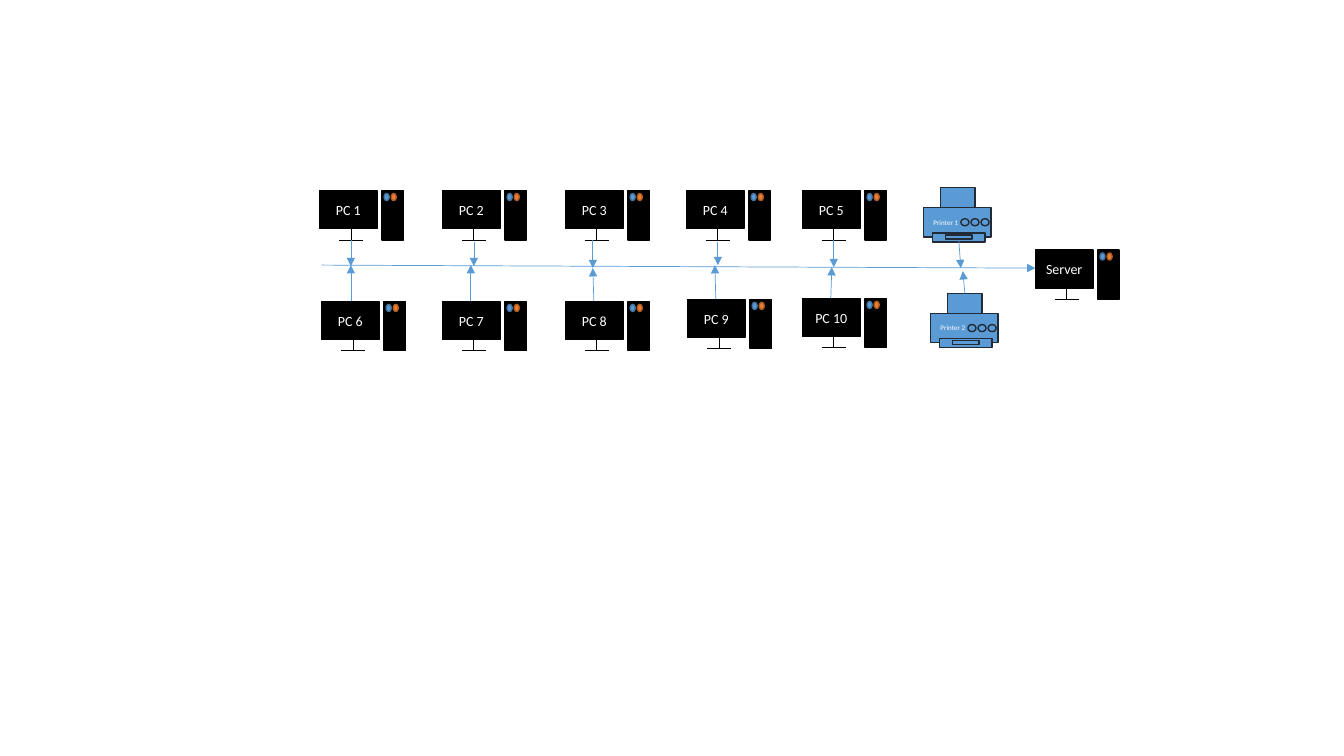
"""Bus network slide: ten PCs and two printers feeding one server."""
from pptx import Presentation
from pptx.dml.color import RGBColor
from pptx.enum.shapes import MSO_CONNECTOR, MSO_SHAPE
from pptx.enum.text import MSO_ANCHOR, PP_ALIGN
from pptx.oxml.ns import qn
from pptx.util import Inches, Pt
from lxml import etree

RECT = MSO_SHAPE.RECTANGLE
PROC = MSO_SHAPE.FLOWCHART_PROCESS
DOT = MSO_SHAPE.FLOWCHART_CONNECTOR
LINE = MSO_CONNECTOR.STRAIGHT
MID = MSO_ANCHOR.MIDDLE
LEFT, CENTER = PP_ALIGN.LEFT, PP_ALIGN.CENTER
HUES = {"black": "000000", "white": "FFFFFF", "blue": "5B9BD5", "navy": "43739E",
        "orange": "ED7D31", "rust": "AF5C24", "slate": "222A35"}

deck = Presentation()
deck.slide_width, deck.slide_height = Inches(13.33), Inches(7.5)
slide = deck.slides.add_slide(deck.slide_layouts[6])


def box(group, kind, area, fill, edge, text="", size=10, align=CENTER, pad=0):
    shape = group.shapes.add_shape(kind, *map(Inches, area))
    shape.shadow.inherit = False
    shape.fill.solid()
    shape.fill.fore_color.rgb = RGBColor.from_string(HUES[fill])
    shape.line.color.rgb = RGBColor.from_string(HUES[edge])
    shape.line.width = Pt(1)
    if text:
        frame = shape.text_frame
        frame.word_wrap = True
        frame.vertical_anchor = MID
        frame.margin_left = frame.margin_right = Inches(pad)
        para = frame.paragraphs[0]
        para.text, para.alignment = text, align
        para.font.size, para.font.name = Pt(size), "Calibri"
        para.font.color.rgb = RGBColor.from_string(HUES["white"])


def link(group, ends, hue, arrow=False):
    wire = group.shapes.add_connector(LINE, *map(Inches, ends))
    wire.line.color.rgb = RGBColor.from_string(HUES[hue])
    wire.line.width = Pt(0.5)
    props = wire.line._get_or_add_ln()
    if arrow:
        etree.SubElement(props, qn("a:tailEnd"), type="triangle")
    etree.SubElement(props.getparent(), qn("a:effectLst"))


units = [
    ("Server", 10.27, 2.48),
    ("PC 1", 3.17, 1.89), ("PC 2", 4.39, 1.89), ("PC 3", 5.61, 1.89),
    ("PC 4", 6.81, 1.89), ("PC 5", 7.96, 1.89),
    ("PC 6", 3.19, 2.99), ("PC 7", 4.39, 2.99), ("PC 8", 5.61, 2.99),
    ("PC 9", 6.82, 2.97), ("PC 10", 7.96, 2.96),
]
for name, x, y in units:
    group = slide.shapes.add_group_shape()
    box(group, RECT, (x, y, 0.57, 0.38), "black", "black", name)
    link(group, (x + 0.31, y + 0.38, x + 0.31, y + 0.49), "black")
    link(group, (x + 0.19, y + 0.49, x + 0.43, y + 0.49), "black")
    box(group, RECT, (x + 0.62, y, 0.21, 0.49), "black", "black")
    for step, fill, edge in [(0.64, "blue", "navy"), (0.71, "orange", "rust")]:
        box(group, DOT, (x + step, y + 0.03, 0.05, 0.07), fill, edge)

for name, x, y in [("Printer 1", 9.16, 1.86), ("Printer 2", 9.23, 2.91)]:
    group = slide.shapes.add_group_shape()
    parts = [
        (PROC, 0.17, 0, 0.34, 0.27, ""), (PROC, 0, 0.2, 0.67, 0.29, name),
        (PROC, 0.09, 0.45, 0.52, 0.09, ""), (DOT, 0.37, 0.31, 0.08, 0.07, ""),
        (DOT, 0.47, 0.31, 0.08, 0.07, ""), (DOT, 0.57, 0.31, 0.08, 0.07, ""),
        (PROC, 0.22, 0.47, 0.26, 0.04, ""),
    ]
    for kind, dx, dy, w, h, text in parts:
        box(group, kind, (x + dx, y + dy, w, h), "blue", "slate", text, 5, LEFT, 0.1)

wires = [
    (3.19, 2.63, 10.27, 2.66),
    (3.48, 2.99, 3.48, 2.63), (4.67, 2.99, 4.67, 2.63), (5.89, 2.99, 5.88, 2.66),
    (7.1, 2.97, 7.09, 2.63), (8.24, 2.96, 8.25, 2.65),
    (3.48, 2.38, 3.48, 2.64), (4.7, 2.4, 4.7, 2.64), (5.88, 2.38, 5.88, 2.66),
    (7.12, 2.4, 7.12, 2.63), (8.27, 2.38, 8.27, 2.65),
    (9.51, 2.39, 9.53, 2.66), (9.57, 2.91, 9.55, 2.69),
]
for ends in wires:
    link(slide, ends, "blue", True)

deck.save("out.pptx")
